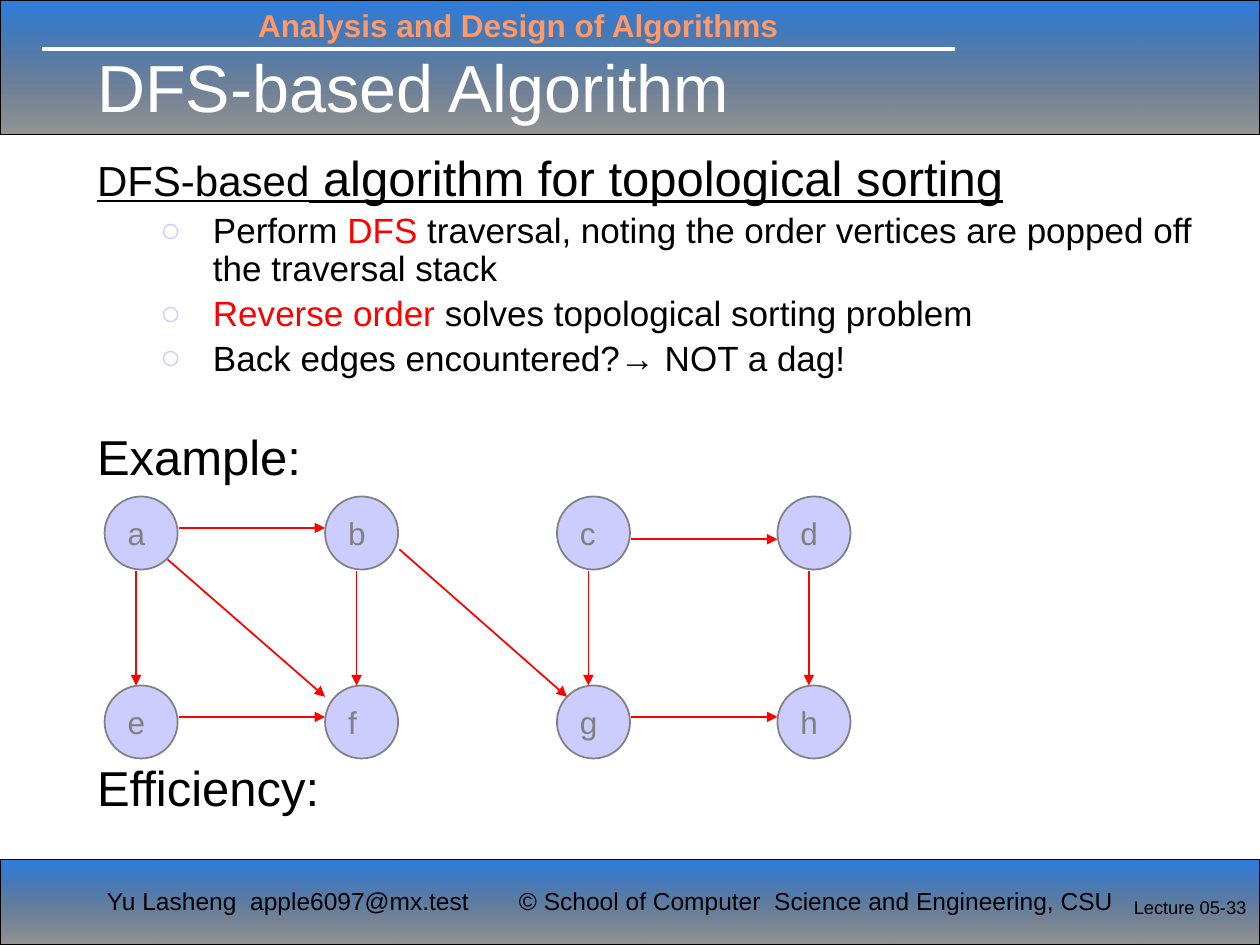
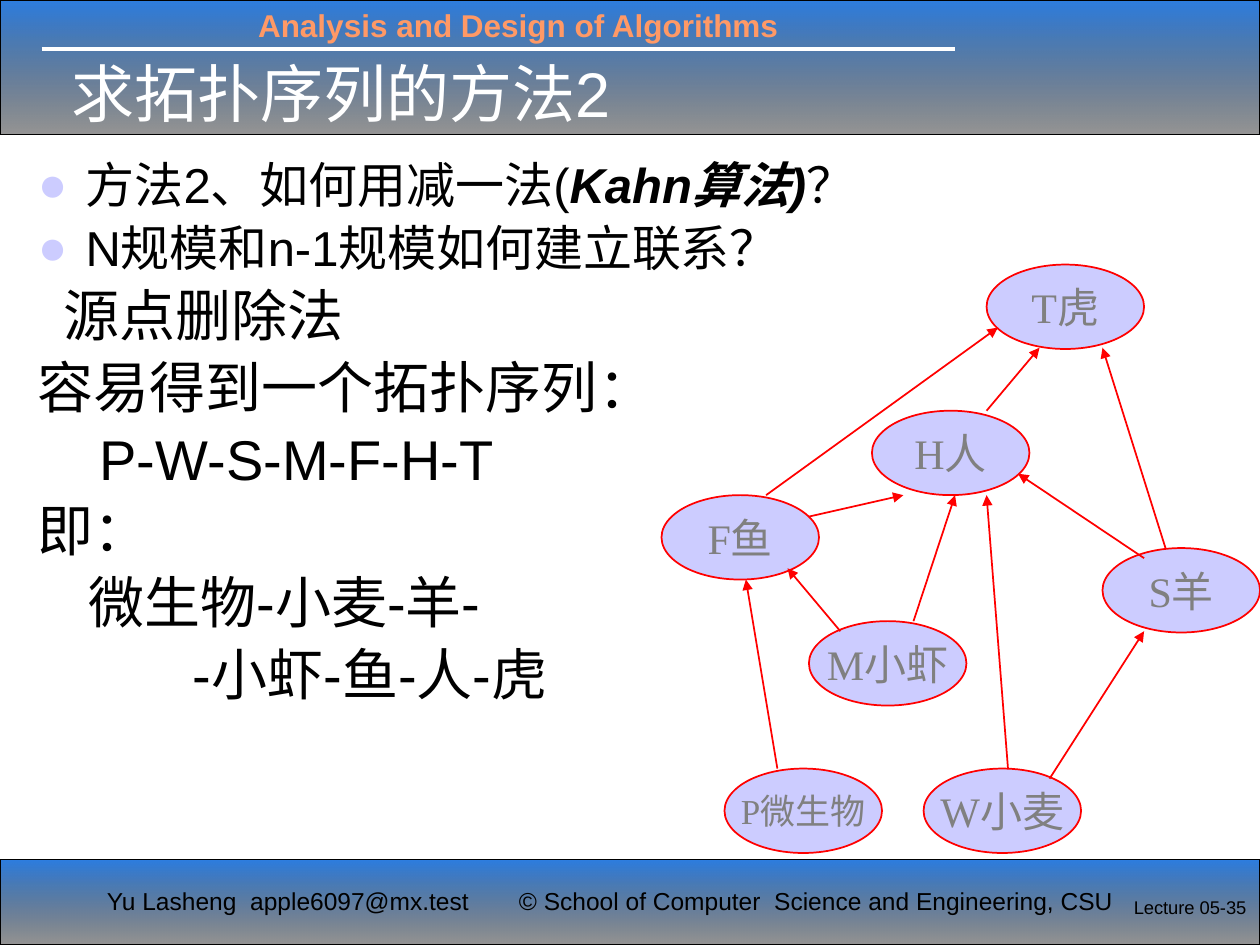
from pptx import Presentation
from pptx import util as u
from pptx.dml.color import RGBColor
from pptx.enum import shapes, text
from pptx.oxml.ns import qn
from lxml import etree

COLORS = {
    "band_top": "0E6BDC", "band_bottom": "000000", "rule": "FFFFFF",
    "course": "FF9966", "title": "FFFFFF", "text": "000000",
    "accent": "FF0000", "node": "CCCCFF", "node_text": "808080",
}
BAND_ALPHA = (88, 41)
GRAY_CIRCLE = {"size": (0.58, 0.58), "line": "node_text", "font": "Arial",
               "points": 18, "alignment": text.PP_ALIGN.LEFT}
RED_OVAL = {"size": (1.25, 0.67), "line": "accent", "font": "Times New Roman",
            "points": 24, "long_points": 20, "alignment": text.PP_ALIGN.CENTER}
LONG_NAME = 4

DFS_BODY = [
    {"runs": [("DFS-based", {"size": 24, "underline": True}),
              (" algorithm for topological sorting", {"underline": True})]},
    {"level": 1, "bullet": "○", "size": 20, "runs": [
        ("Perform ", {}), ("DFS", {"color": "accent"}),
        (" traversal, noting the order vertices are popped off the traversal stack", {})]},
    {"level": 1, "bullet": "○", "size": 20, "runs": [
        ("Reverse order ", {"color": "accent"}),
        ("solves topological sorting problem", {})]},
    {"level": 1, "bullet": "○", "size": 20,
     "runs": [("Back edges encountered?→ NOT a dag!", {})]},
    {"before": 31, "runs": [("Example:", {})]},
    {"before": 159, "runs": [("Efficiency:", {})]},
]
DFS_COLUMNS = (0, 1.75, 3.59, 5.34)
DFS_NODES = {name: (x, y) for y, names in ((0, "abcd"), (1.5, "efgh"))
             for name, x in zip(names, DFS_COLUMNS)}
DFS_EDGES = [
    *[(tail, head, (0.59, 0.25), (0, 0.25)) for tail, head in ("ab", "ef", "gh")],
    *[(tail, head, (0.25, 0.59), (0.25, 0)) for tail, head in ("ae", "bf", "cg", "dh")],
    ("c", "d", (0.59, 0.34), (0, 0.34)),
    ("a", "f", (0.5, 0.5), (0, 0.09)),
    ("b", "g", (0.59, 0.42), (0.08, 0.09)),
]

KAHN_BODY = [
    {"bullet": "●", "margin": 0.38, "runs": [
        ("方法2、如何用减一法(", {}),
        ("Kahn算法)", {"bold": True, "italic": True}), ("？", {})]},
    {"bullet": "●", "margin": 0.38, "runs": [("N规模和n-1规模如何建立联系？", {})]},
    *[{"size": 32, "margin": margin, "indent": 0, "runs": [(line, {})]}
      for margin, line in (
          (0.2, "源点删除法"), (0, "容易得到一个拓扑序列："),
          (0.49, "P-W-S-M-F-H-T"), (0, "即："),
          (0.4, "微生物-小麦-羊-"), (1.23, "-小虾-鱼-人-虎"))],
]
KAHN_NODES = {
    "F鱼": (0, 1.83), "H人": (1.67, 1.16), "M小虾": (1.17, 2.83), "S羊": (3.5, 2.25),
    "W小麦": (2.08, 4), "P微生物": (0.5, 4), "T虎": (2.58, 0),
}
KAHN_EDGES = [
    ("H人", "T虎", (0.91, 0), (0.42, 0.66)),
    ("F鱼", "H人", (1.17, 0.17), (0.25, 0.67)),
    ("S羊", "H人", (0.33, 0.08), (1.16, 0.5)),
    ("M小虾", "H人", (0.83, 0), (0.66, 0.67)),
    ("M小虾", "F鱼", (0.25, 0.08), (1, 0.58)),
    ("P微生物", "F鱼", (0.42, 0), (0.67, 0.67)),
    ("W小麦", "H人", (0.67, 0), (0.91, 0.67)),
    ("W小麦", "S羊", (1, 0.08), (0.33, 0.66)),
    ("F鱼", "T虎", (0.83, 0), (0.09, 0.5)),
    ("S羊", "T虎", (0.5, 0), (0.92, 0.66)),
]


def inches(values):
    """Convert a sequence of numbers to lengths."""
    return [u.Inches(value) for value in values]


def rgb(name):
    """Look up a named colour."""
    return RGBColor.from_string(COLORS[name])


def apply_format(target, values):
    """Set each attribute of the target from a dict."""
    for name, value in values.items():
        setattr(target, name, value)


def add_run(paragraph, words, size, color="text", font="Arial", **values):
    """Add formatted words to a paragraph."""
    run = paragraph.add_run()
    run.text = words
    apply_format(run.font, {"name": font, "size": u.Pt(size), **values})
    run.font.color.rgb = rgb(color)


def add_label(slide, box, words, size, color="text", **values):
    """Add a one-line text box."""
    frame = slide.shapes.add_textbox(*inches(box)).text_frame
    frame.word_wrap = False
    add_run(frame.paragraphs[0], words, size, color, **values)


def add_line(slide, start, end, color, width, arrow=False):
    """Draw a straight line, with an arrowhead at its end if asked."""
    line = slide.shapes.add_connector(
        shapes.MSO_CONNECTOR.STRAIGHT, *inches((*start, *end)))
    line.line.color.rgb = rgb(color)
    line.line.width = u.Pt(width)
    if arrow:
        etree.SubElement(line.line._get_or_add_ln(), qn("a:tailEnd"), type="triangle")
    etree.SubElement(line._element.spPr, qn("a:effectLst"))


def add_band(slide, box):
    """Draw a translucent gradient band."""
    band = slide.shapes.add_shape(shapes.MSO_SHAPE.RECTANGLE, *inches(box))
    band.shadow.inherit = False
    band.fill.gradient()
    band.fill.gradient_angle = 270
    for stop, name in zip(band.fill.gradient_stops, ("band_top", "band_bottom")):
        stop.color.rgb = rgb(name)
    stop_list = band._element.spPr.find(qn("a:gradFill")).find(qn("a:gsLst"))
    for color, alpha in zip(stop_list.iter(qn("a:srgbClr")), BAND_ALPHA):
        etree.SubElement(color, qn("a:alpha"), val=str(alpha * 1000))
    band.line.color.rgb = rgb("band_bottom")
    band.line.width = u.Pt(0.75)


def add_frame(slide, number):
    """Draw the header and footer that all slides share."""
    add_band(slide, (0, 0, 10, 1.07))
    add_band(slide, (0, 6.82, 10, 0.68))
    add_line(slide, (0.33, 0.39), (7.58, 0.39), "rule", 2.25)
    add_label(slide, (1.95, 0, 5, 0.4), "Analysis and Design of Algorithms",
              18, "course", bold=True)
    add_label(slide, (0.75, 6.98, 3.21, 0.34), "Yu Lasheng  apple6097@mx.test", 14)
    add_label(slide, (4.02, 6.98, 5.12, 0.34),
              "© School of Computer  Science and Engineering, CSU", 14)
    add_label(slide, (8.9, 7.06, 1.1, 0.3), f"Lecture 05-{number}", 10.5)


def place(slide, placeholder, box, anchor):
    """Move a placeholder into its box, in front of the bands."""
    slide.shapes._spTree.append(placeholder._element)
    apply_format(placeholder, dict(zip(("left", "top", "width", "height"), inches(box))))
    apply_format(placeholder.text_frame, {
        "auto_size": text.MSO_AUTO_SIZE.NONE, "word_wrap": True,
        "vertical_anchor": anchor})
    return placeholder.text_frame


def fill_title(slide, box, words, size):
    """Write the slide title."""
    frame = place(slide, slide.shapes.title, box, text.MSO_ANCHOR.MIDDLE)
    paragraph = frame.paragraphs[0]
    paragraph.alignment = text.PP_ALIGN.LEFT
    add_run(paragraph, words, size, "title")


def set_bullet(paragraph, bullet, margin, indent):
    """Set the indents and bullet of a paragraph."""
    properties = paragraph._p.get_or_add_pPr()
    properties.set("marL", str(u.Inches(margin)))
    properties.set("indent", str(u.Inches(indent)))
    if bullet:
        color = etree.SubElement(properties, qn("a:buClr"))
        etree.SubElement(color, qn("a:srgbClr"), val=COLORS["node"])
        etree.SubElement(properties, qn("a:buChar"), char=bullet)
    else:
        etree.SubElement(properties, qn("a:buNone"))


def fill_body(slide, box, items):
    """Write the list of body paragraphs."""
    frame = place(slide, slide.placeholders[1], box, text.MSO_ANCHOR.TOP)
    for index, item in enumerate(items):
        paragraph = frame.add_paragraph() if index else frame.paragraphs[0]
        level, size = item.get("level", 0), item.get("size", 28)
        margin = item.get("margin", 0.92 if level else 0.5)
        indent = item.get("indent", -0.42 if level else -margin)
        set_bullet(paragraph, item.get("bullet"), margin, indent)
        before = item.get("before", 0.2 * size) if index else 0
        apply_format(paragraph, {"level": level, "line_spacing": 0.9,
                                 "space_before": u.Pt(before)})
        for words, values in item["runs"]:
            add_run(paragraph, words, **{"size": size, **values})


def add_node(slide, box, name, style):
    """Draw one labelled vertex, with smaller text for a long name."""
    node = slide.shapes.add_shape(shapes.MSO_SHAPE.OVAL, *inches(box))
    node.shadow.inherit = False
    node.fill.solid()
    node.fill.fore_color.rgb = rgb("node")
    node.line.color.rgb = rgb(style["line"])
    node.line.width = u.Pt(1)
    apply_format(node.text_frame, {"word_wrap": False,
                                   "vertical_anchor": text.MSO_ANCHOR.MIDDLE})
    paragraph = node.text_frame.paragraphs[0]
    paragraph.alignment = style["alignment"]
    points = style["long_points" if len(name) >= LONG_NAME else "points"]
    add_run(paragraph, name, points, "node_text", style["font"])


def add_graph(slide, origin, nodes, edges, style):
    """Draw a directed graph whose edge ends are offsets from their vertices."""
    def at(name, offset=(0, 0)):
        """Find a point relative to a vertex."""
        return tuple(map(sum, zip(origin, nodes[name], offset)))

    for name in nodes:
        add_node(slide, (*at(name), *style["size"]), name, style)
    for tail, head, start, end in edges:
        add_line(slide, at(tail, start), at(head, end), "accent", 1, arrow=True)


def add_slide(presentation, number):
    """Add a slide with the shared frame."""
    slide = presentation.slides.add_slide(presentation.slide_layouts[1])
    add_frame(slide, number)
    return slide


def build_dfs(presentation):
    """Build the slide on the algorithm based on depth-first search."""
    slide = add_slide(presentation, 33)
    fill_title(slide, (0.67, 0.35, 8.92, 0.67), "DFS-based Algorithm", 38)
    fill_body(slide, (0.67, 1.17, 9.08, 6.11), DFS_BODY)
    add_graph(slide, (0.83, 3.94), DFS_NODES, DFS_EDGES, GRAY_CIRCLE)


def build_kahn(presentation):
    """Build the slide on source removal."""
    slide = add_slide(presentation, 35)
    fill_title(slide, (0.47, 0.39, 7.81, 0.68), "求拓扑序列的方法2", 36)
    fill_body(slide, (0.2, 1.23, 9, 4.8), KAHN_BODY)
    add_graph(slide, (5.25, 2.1), KAHN_NODES, KAHN_EDGES, RED_OVAL)


def main():
    """Build and save the presentation."""
    presentation = Presentation()
    apply_format(presentation, {"slide_width": u.Inches(10), "slide_height": u.Inches(7.5)})
    build_dfs(presentation)
    build_kahn(presentation)
    presentation.save("out.pptx")


if __name__ == "__main__":
    main()
